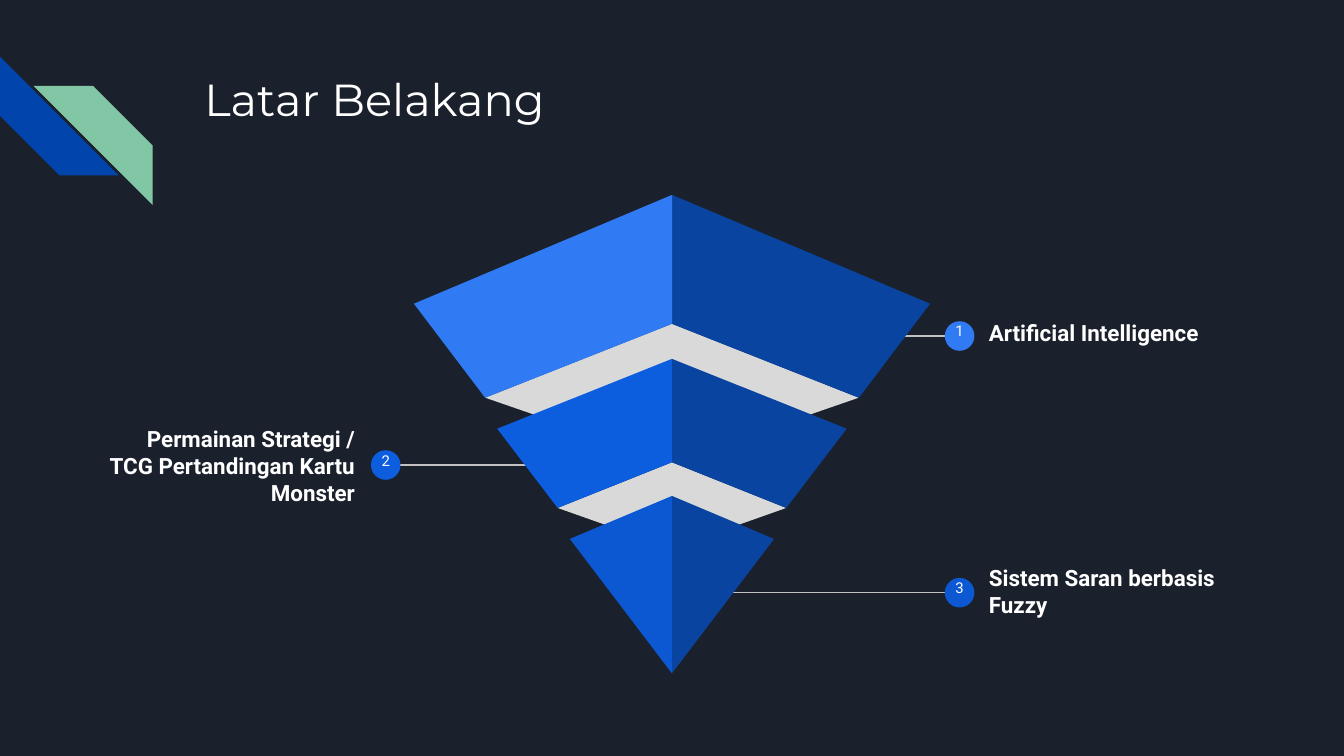
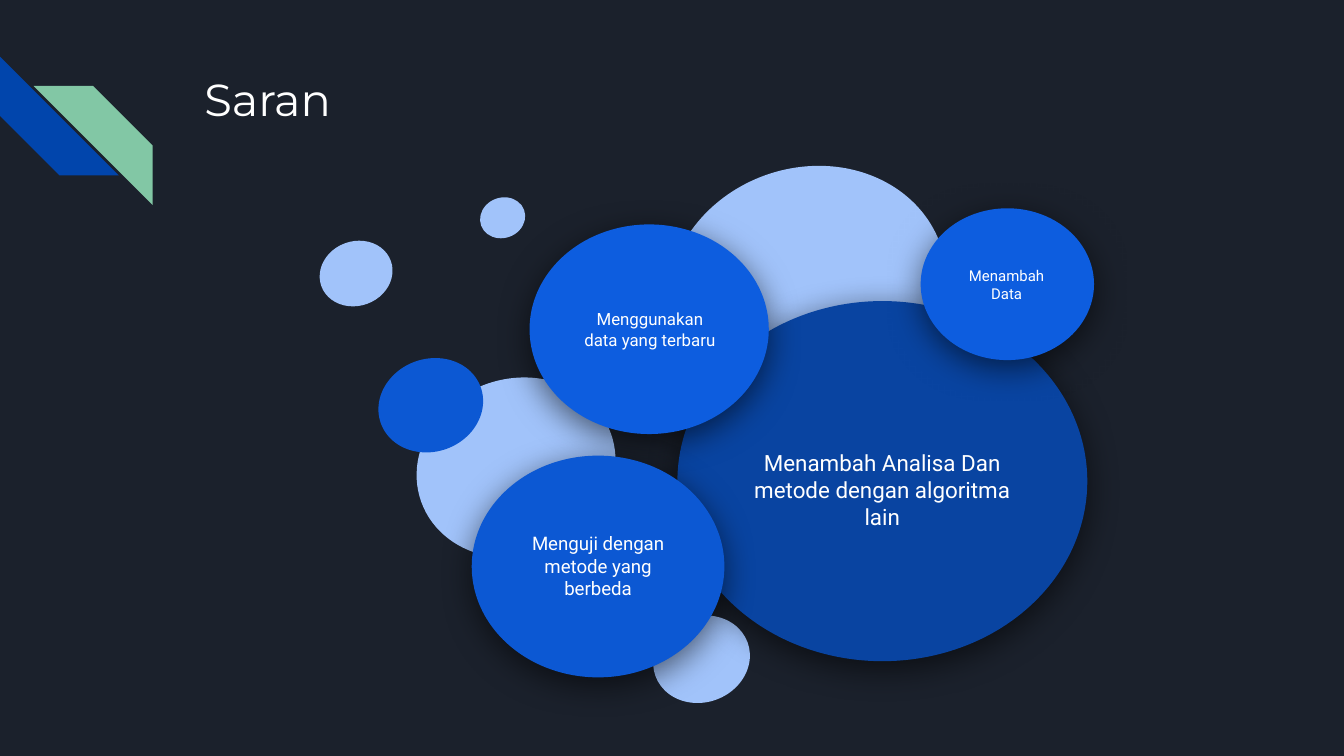
from dataclasses import dataclass
from typing import Any, NamedTuple

from lxml import etree
from pptx import Presentation
from pptx.dml.color import RGBColor
from pptx.enum.shapes import MSO_CONNECTOR, MSO_SHAPE
from pptx.enum.text import MSO_ANCHOR, PP_ALIGN
from pptx.oxml.ns import qn
from pptx.util import Inches, Pt

OVAL, STRIPE = MSO_SHAPE.OVAL, MSO_SHAPE.DIAGONAL_STRIPE
STRAIGHT = MSO_CONNECTOR.STRAIGHT
TOP, MIDDLE = MSO_ANCHOR.TOP, MSO_ANCHOR.MIDDLE
LEFT, CENTER, RIGHT = PP_ALIGN.LEFT, PP_ALIGN.CENTER, PP_ALIGN.RIGHT

# Grid: 100 square cells across the slide
WIDTH = Inches(10)
HEIGHT = WIDTH * 9 // 16
CELL = WIDTH / 100
AXIS = 50


@dataclass(frozen=True)
class Theme:
    background: str = "1B212C"
    text: str = "FFFFFF"
    stripe_blue: str = "0145AC"
    stripe_green: str = "82C7A5"
    bright: str = "307BF3"
    medium: str = "0D5DDF"
    deep: str = "0C58D3"
    dark: str = "0944A1"
    pale: str = "A1C3FA"
    underside: str = "D9D9D9"
    line: str = "C2C2C2"
    title_font: str = "Montserrat"
    body_font: str = "Roboto"
    title_size: float = 24
    label_size: float = 12
    number_size: float = 8
    line_width: float = 0.75


THEME = Theme()


class Box(NamedTuple):
    """Left, top, width and height in grid cells."""
    left: float
    top: float
    width: float
    height: float


class TextStyle(NamedTuple):
    size: float
    font: str = THEME.body_font
    bold: bool = False
    align: Any = CENTER
    anchor: Any = MIDDLE
    space_after: float = 0


class Callout(NamedTuple):
    number: str
    label: str
    on_right: bool
    row: float
    label_top: float
    line_start: float
    color: str


class Layer(NamedTuple):
    """Half widths from the axis, and rows, of one pyramid layer."""
    apex: float
    shoulder_half: float
    shoulder: float
    foot_half: float
    foot: float
    notch: float
    color: str
    underside_tip: float | None = None


class Bubble(NamedTuple):
    box: Box
    color: str
    text_box: Box
    text: str
    size: float


TITLE_BOX = Box(14.2, 4.3, 77, 10)
TITLE_STYLE = TextStyle(THEME.title_size, THEME.title_font, align=LEFT, anchor=TOP)
NUMBER_STYLE = TextStyle(THEME.number_size, anchor=TOP, space_after=16)

CALLOUTS = [
    Callout("1", "Artificial Intelligence", True, 25, 17.2, 66, THEME.bright),
    Callout("2", "Permainan Strategi / TCG Pertandingan Kartu Monster",
            False, 34.6, 27.1, 39.7, THEME.medium),
    Callout("3", "Sistem Saran berbasis Fuzzy", True, 44.1, 36.4, 53.7, THEME.deep),
]

LAYERS = [
    Layer(14.5, 19.2, 22.6, 13.9, 29.6, 24.1, THEME.bright, 34.4),
    Layer(26.7, 13, 31.9, 8.5, 37.8, 34.4, THEME.medium, 40.8),
    Layer(36.9, 7.6, 40.1, 0, 50.1, 50.1, THEME.deep),
]

BACK_ROTATION = 250
BACK_BUBBLES = [
    (Box(49, 45.4, 6.4, 7.3), THEME.pale),
    (Box(24.1, 17.6, 4.8, 5.5), THEME.pale),
    (Box(31.8, 27.3, 13.2, 15), THEME.pale),
    (Box(50.8, 11.2, 18.5, 21.1), THEME.pale),
    (Box(28.6, 26.2, 6.9, 7.9), THEME.deep),
    (Box(35.9, 14.5, 3, 3.4), THEME.pale),
]

BUBBLES = [
    Bubble(Box(50.4, 22.4, 30.5, 26.8), THEME.dark, Box(54, 30, 23.3, 12.8),
           "Menambah Analisa Dan metode dengan algoritma lain", 12),
    Bubble(Box(39.4, 16.7, 17.8, 15.6), THEME.medium, Box(42.3, 19.3, 12.1, 10.4),
           "Menggunakan data yang terbaru", 9),
    Bubble(Box(35.1, 33.9, 18.8, 16.5), THEME.deep, Box(37.8, 36.9, 13.4, 10.4),
           "Menguji dengan metode yang berbeda", 10),
    Bubble(Box(68.5, 15.5, 12.9, 11.3), THEME.medium, Box(70.5, 17.4, 8.8, 7.5),
           "Menambah Data", 8),
]


# Drawing helpers
def cells(*values: float) -> list[int]:
    return [round(value * CELL) for value in values]


def rgb(color: str) -> RGBColor:
    return RGBColor.from_string(color)


def apply(target: Any, values: dict[str, Any]) -> None:
    for name, value in values.items():
        setattr(target, name, value)


def paint(shape: Any, color: str) -> None:
    shape.shadow.inherit = False
    shape.fill.solid()
    shape.fill.fore_color.rgb = rgb(color)
    shape.line.fill.background()


def add_preset(shapes: Any, preset: Any, box: Box, color: str, rotation: float = 0) -> Any:
    shape = shapes.add_shape(preset, *cells(*box))
    shape.rotation = rotation
    paint(shape, color)
    return shape


def add_polygon(shapes: Any, points: list[tuple[float, float]], color: str) -> None:
    start, *rest = [tuple(cells(*point)) for point in points]
    builder = shapes.build_freeform(*start)
    builder.add_line_segments(rest, close=True)
    paint(builder.convert_to_shape(), color)


def write(shape: Any, text: str, style: TextStyle) -> None:
    frame = shape.text_frame
    margins = {f"margin_{side}": Inches(0.1) for side in ("left", "top", "right", "bottom")}
    apply(frame, {"word_wrap": True, "vertical_anchor": style.anchor, **margins})
    para = frame.paragraphs[0]
    apply(para, {"alignment": style.align, "space_before": Pt(0),
                 "space_after": Pt(style.space_after)})
    span = para.add_run()
    span.text = text
    apply(span.font, {"name": style.font, "size": Pt(style.size), "bold": style.bold})
    span.font.color.rgb = rgb(THEME.text)


def add_text(shapes: Any, box: Box, text: str, style: TextStyle) -> None:
    write(shapes.add_textbox(*cells(*box)), text, style)


def add_line(shapes: Any, start: float, end: float, row: float) -> None:
    line = shapes.add_connector(STRAIGHT, *cells(start, row, end, row))
    line.line.color.rgb = rgb(THEME.line)
    line.line.width = Pt(THEME.line_width)
    etree.SubElement(line.element.spPr, qn("a:effectLst"))


def add_soft_shadow(shape: Any) -> None:
    effects = shape.element.spPr.find(qn("a:effectLst"))
    shadow = etree.SubElement(effects, qn("a:outerShdw"), blurRad=str(Pt(18)),
                              dist=str(Pt(4)), dir=str(90 * 60000),
                              algn="bl", rotWithShape="0")
    color = etree.SubElement(shadow, qn("a:srgbClr"), val="000000")
    etree.SubElement(color, qn("a:alpha"), val="55000")


# Shared parts
def add_page(deck: Any, layout: Any, title: str) -> Any:
    page = deck.slides.add_slide(layout)
    holder = page.shapes.title
    apply(holder, dict(zip(("left", "top", "width", "height"), cells(*TITLE_BOX))))
    write(holder, title, TITLE_STYLE)
    return page


def add_corner_stripes(layout: Any, page: Any) -> None:
    """Draw the stripes once and hand them to the layout."""
    group = page.shapes.add_group_shape()
    add_preset(group.shapes, STRIPE, Box(0, 4.2, 8.85, 8.85), THEME.stripe_blue, 270)
    add_preset(group.shapes, STRIPE, Box(2.5, 6.4, 8.85, 8.85), THEME.stripe_green, 90)
    layout.shapes.element.insert(2, group.element)


# Background slide: pyramid with callouts
def draw_callout(page: Any, callout: Callout) -> None:
    shapes = page.shapes.add_group_shape().shapes
    center = 71.4 if callout.on_right else 28.7
    label_left, align = (72.6, LEFT) if callout.on_right else (7, RIGHT)
    add_line(shapes, callout.line_start, center, callout.row)
    add_text(shapes, Box(label_left, callout.label_top, 20.4, 15.1), callout.label,
             TextStyle(THEME.label_size, bold=True, align=align))
    add_preset(shapes, OVAL, Box(center - 1.1, callout.row - 1.1, 2.2, 2.2), callout.color)
    add_text(shapes, Box(center - 1.35, callout.row - 1.7, 2.7, 3.4),
             callout.number, NUMBER_STYLE)


def draw_layer(shapes: Any, layer: Layer) -> None:
    if layer.underside_tip is not None:
        add_polygon(shapes, [(AXIS + layer.foot_half, layer.foot), (AXIS, layer.notch),
                             (AXIS - layer.foot_half, layer.foot),
                             (AXIS, layer.underside_tip)], THEME.underside)
    for side, color in ((1, THEME.dark), (-1, layer.color)):
        add_polygon(shapes, [(AXIS, layer.apex),
                             (AXIS + side * layer.shoulder_half, layer.shoulder),
                             (AXIS + side * layer.foot_half, layer.foot),
                             (AXIS, layer.notch)], color)


def draw_pyramid(page: Any) -> None:
    for callout in CALLOUTS:
        draw_callout(page, callout)
    shapes = page.shapes.add_group_shape().shapes
    for layer in LAYERS:
        draw_layer(shapes, layer)


# Suggestions slide: bubbles
def draw_bubbles(page: Any) -> None:
    back = page.shapes.add_group_shape().shapes
    for box, color in BACK_BUBBLES:
        add_preset(back, OVAL, box, color, BACK_ROTATION)
    for bubble in BUBBLES:
        shapes = page.shapes.add_group_shape().shapes
        add_soft_shadow(add_preset(shapes, OVAL, bubble.box, bubble.color))
        add_text(shapes, bubble.text_box, bubble.text, TextStyle(bubble.size))


def main() -> None:
    deck = Presentation()
    apply(deck, {"slide_width": WIDTH, "slide_height": HEIGHT})
    backdrop = deck.slide_master.background.fill
    backdrop.solid()
    backdrop.fore_color.rgb = rgb(THEME.background)
    layout = deck.slide_layouts.get_by_name("Title Only")

    background_page = add_page(deck, layout, "Latar Belakang")
    add_corner_stripes(layout, background_page)
    draw_pyramid(background_page)
    draw_bubbles(add_page(deck, layout, "Saran"))
    deck.save("out.pptx")


if __name__ == "__main__":
    main()
